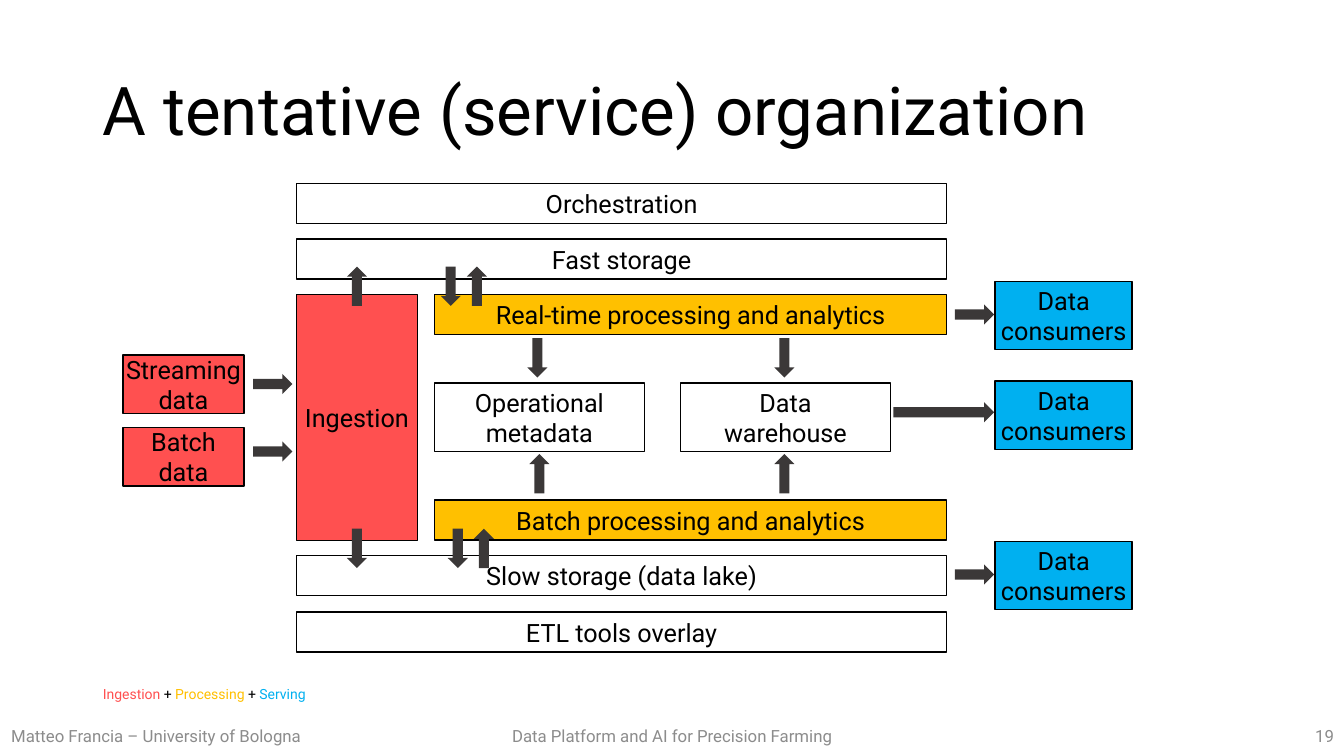
from dataclasses import dataclass

from lxml import etree
from pptx import Presentation, util as u
from pptx.dml.color import RGBColor
from pptx.enum import shapes, text
from pptx.oxml import ns


@dataclass(frozen=True)
class Theme:
    font: str = "Roboto"
    black: str = "000000"
    white: str = "FFFFFF"
    ingestion: str = "FF5050"
    processing: str = "FFC000"
    serving: str = "00B0F0"
    arrow: str = "3B3838"
    footer: str = "8C8C8C"
    title_size: int = 48
    label_size: int = 18
    footer_size: int = 12
    legend_size: int = 10


THEME = Theme()
ARROW_LENGTH = 0.39
ARROW_WIDTH = 0.2
BAND_HEIGHT = 0.4
BOX_HEIGHT = 0.68
UP, DOWN, RIGHT = 270, 90, 0
LEFT_ALIGN = text.PP_ALIGN.LEFT
CENTER_ALIGN = text.PP_ALIGN.CENTER
RIGHT_ALIGN = text.PP_ALIGN.RIGHT


def apply_format(target, values):
    for name, value in values.items():
        setattr(target, name, value)


def format_run(run, size, color):
    apply_format(run.font, {"name": THEME.font, "size": u.Pt(size), "bold": False})
    run.font.color.rgb = RGBColor.from_string(color)


def format_text(frame, size, color, paragraph_format):
    for paragraph in frame.paragraphs:
        apply_format(paragraph, paragraph_format)
        for run in paragraph.runs:
            format_run(run, size, color)


def place(shape, left, top, width, height):
    lengths = {"left": left, "top": top, "width": width, "height": height}
    apply_format(shape, {name: u.Inches(value) for name, value in lengths.items()})


def add_filled(slide, kind, box, color):
    shape = slide.shapes.add_shape(kind, *map(u.Inches, box))
    shape.shadow.inherit = False
    shape.fill.solid()
    shape.fill.fore_color.rgb = RGBColor.from_string(color)
    return shape


def add_box(slide, box, label, color):
    shape = add_filled(slide, shapes.MSO_SHAPE.RECTANGLE, box, color)
    shape.line.color.rgb = RGBColor.from_string(THEME.black)
    shape.line.width = u.Pt(1)
    frame = shape.text_frame
    margins = ("margin_left", "margin_top", "margin_right", "margin_bottom")
    apply_format(frame, dict.fromkeys(margins, 0))
    apply_format(frame, {"word_wrap": True, "vertical_anchor": text.MSO_ANCHOR.MIDDLE})
    frame.text = label
    format_text(frame, THEME.label_size, THEME.black, {"alignment": CENTER_ALIGN})


def add_arrow(slide, center_x, center_y, rotation, length=ARROW_LENGTH):
    box = (center_x - length / 2, center_y - ARROW_WIDTH / 2, length, ARROW_WIDTH)
    arrow = add_filled(slide, shapes.MSO_SHAPE.RIGHT_ARROW, box, THEME.arrow)
    arrow.line.fill.background()
    arrow.rotation = rotation


def add_title(slide, box):
    title = slide.shapes.title
    place(title, *box)
    frame = title.text_frame
    frame.text = "A tentative (service) organization"
    apply_format(frame, {"auto_size": text.MSO_AUTO_SIZE.NONE,
                         "vertical_anchor": text.MSO_ANCHOR.MIDDLE})
    format_text(frame, THEME.title_size, THEME.black,
                {"alignment": LEFT_ALIGN, "line_spacing": 0.9})


def add_legend(slide, box):
    legend = slide.placeholders[1]
    place(legend, *box)
    frame = legend.text_frame
    apply_format(frame, {"auto_size": text.MSO_AUTO_SIZE.NONE,
                         "vertical_anchor": text.MSO_ANCHOR.MIDDLE})
    paragraph = frame.paragraphs[0]
    apply_format(paragraph, {"alignment": LEFT_ALIGN, "line_spacing": 0.9,
                             "space_before": u.Pt(0)})
    properties = paragraph._p.get_or_add_pPr()
    properties.set("marL", "0")
    properties.set("indent", "0")
    etree.SubElement(properties, ns.qn("a:buNone"))
    for label, color in (
        ("Ingestion", THEME.ingestion),
        (" + ", THEME.black),
        ("Processing", THEME.processing),
        (" + ", THEME.black),
        ("Serving", THEME.serving),
    ):
        run = paragraph.add_run()
        run.text = label
        format_run(run, THEME.legend_size, color)


def add_footer(slide, box):
    left, top, width, height = box
    for label, offset, part_width, alignment, wrap in (
        ("Matteo Francia – University of Bologna", 0, 3.1, CENTER_ALIGN, True),
        ("Data Platform and AI for Precision Farming", 4.98, 3.38, LEFT_ALIGN, False),
        ("19", width - 3, 3, RIGHT_ALIGN, True),
    ):
        part = (left + offset, top, part_width, height)
        frame = slide.shapes.add_textbox(*map(u.Inches, part)).text_frame
        frame.text = label
        apply_format(frame, {"word_wrap": wrap,
                             "vertical_anchor": text.MSO_ANCHOR.MIDDLE})
        format_text(frame, THEME.footer_size, THEME.footer, {"alignment": alignment})


def add_sources(slide, box):
    left, top, width, height = box
    source_height = 0.58
    for label, offset, arrow_offset in (
        ("Streaming data", 0, 0.29),
        ("Batch\ndata", height - source_height, 0.96),
    ):
        add_box(slide, (left, top + offset, 1.2, source_height), label, THEME.ingestion)
        add_arrow(slide, left + width - ARROW_LENGTH / 2, top + arrow_offset, RIGHT)


def add_platform(slide, box):
    left, top, width, height = box
    inner = 1.37
    add_box(slide, (left, top + 1.1, 1.2, 2.44), "Ingestion", THEME.ingestion)
    for label, offset_x, offset_y, color in (
        ("Orchestration", 0, 0, THEME.white),
        ("Fast storage", 0, 0.55, THEME.white),
        ("Real-time processing and analytics", inner, 1.1, THEME.processing),
        ("Batch processing and analytics", inner, 3.14, THEME.processing),
        ("Slow storage (data lake)", 0, 3.69, THEME.white),
        ("ETL tools overlay", 0, height - BAND_HEIGHT, THEME.white),
    ):
        band = (left + offset_x, top + offset_y, width - offset_x, BAND_HEIGHT)
        add_box(slide, band, label, color)
    for label, offset in (("Operational metadata", inner), ("Data\vwarehouse", 3.81)):
        store = (left + offset, top + 1.98, 2.08, BOX_HEIGHT)
        add_box(slide, store, label, THEME.white)
    for offset_y, arrows in (
        (1.02, ((0.6, UP), (1.53, DOWN), (1.79, UP))),
        (1.73, ((2.39, DOWN), (4.84, DOWN))),
        (2.88, ((2.41, UP), (4.84, UP))),
        (3.62, ((0.6, DOWN), (1.6, DOWN), (1.86, UP))),
    ):
        for offset_x, rotation in arrows:
            add_arrow(slide, left + offset_x, top + offset_y, rotation)


def add_consumers(slide, box):
    left, top, width, height = box
    consumer_width = 1.36
    arrow_end = 1
    for offset, arrow_offset, length in (
        (0, 0.33, ARROW_LENGTH),
        (0.99, 1.3, arrow_end),
        (height - BOX_HEIGHT, 2.91, ARROW_LENGTH),
    ):
        consumer = (left + width - consumer_width, top + offset, consumer_width, BOX_HEIGHT)
        add_box(slide, consumer, "Data\vconsumers", THEME.serving)
        add_arrow(slide, left + arrow_end - length / 2, top + arrow_offset, RIGHT, length)


def main():
    presentation = Presentation()
    presentation.slide_width = u.Inches(13.33)
    presentation.slide_height = u.Inches(7.5)
    slide = presentation.slides.add_slide(presentation.slide_layouts[1])
    add_title(slide, (0.92, 0.4, 11.5, 1.45))
    add_legend(slide, (0.92, 6.69, 11.5, 0.4))
    add_footer(slide, (0, 7.1, 13.33, 0.4))
    add_sources(slide, (1.22, 3.52, 1.68, 1.3))
    add_platform(slide, (2.94, 1.82, 6.45, 4.65))
    add_consumers(slide, (8.86, 2.79, 2.37, 3.26))
    presentation.save("out.pptx")


if __name__ == "__main__":
    main()
